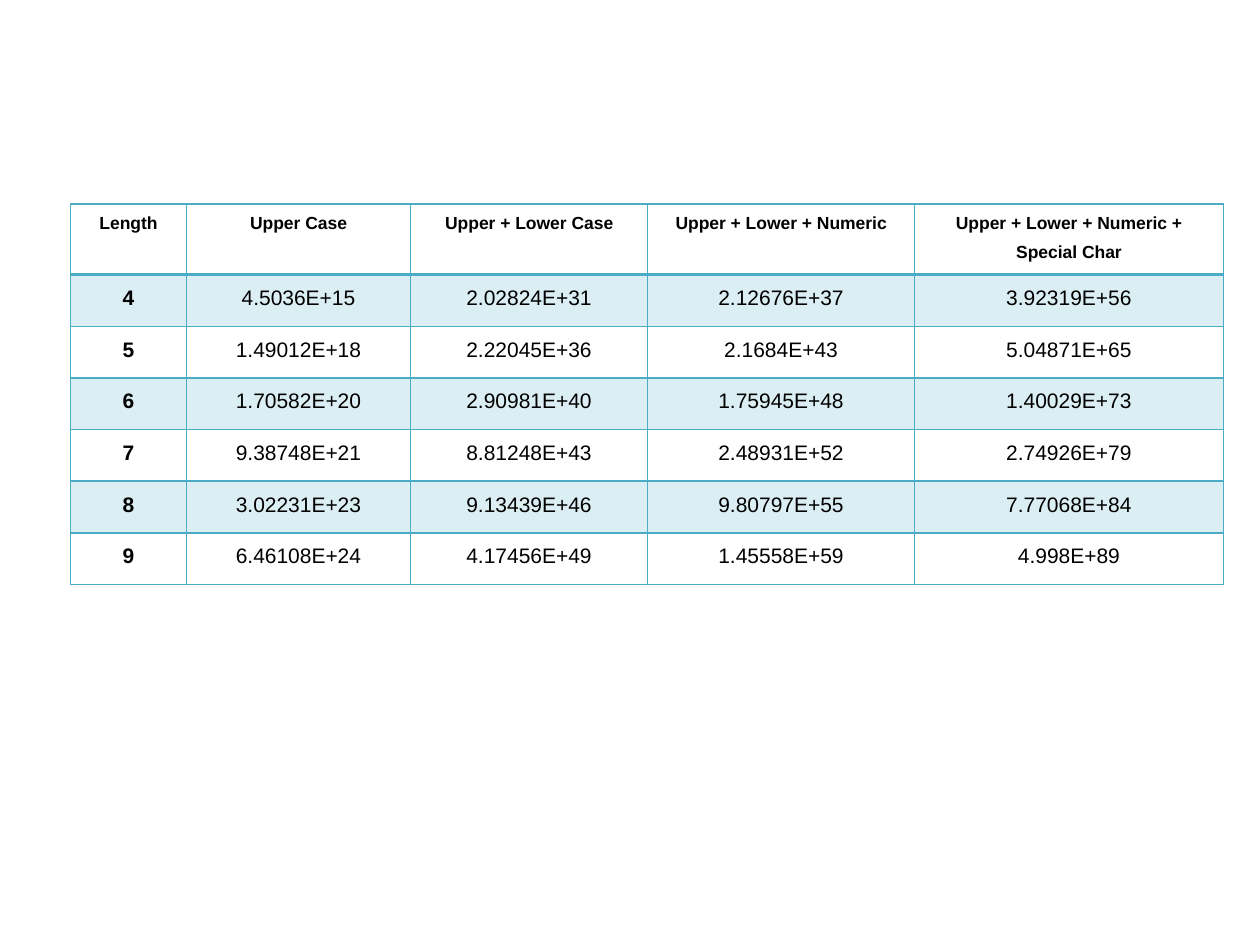
"""Build a slide with a table of password combinations by length and character set."""
from lxml.etree import SubElement
from pptx import Presentation
from pptx.dml.color import RGBColor
from pptx.enum.text import PP_ALIGN
from pptx.oxml import parse_xml
from pptx.oxml.ns import nsdecls, qn
from pptx.util import Inches, Pt

HEADINGS = ("Length", "Upper Case", "Upper + Lower Case",
            "Upper + Lower + Numeric", "Upper + Lower + Numeric + Special Char")
COMBINATIONS = (
    ("4", "4.5036E+15", "2.02824E+31", "2.12676E+37", "3.92319E+56"),
    ("5", "1.49012E+18", "2.22045E+36", "2.1684E+43", "5.04871E+65"),
    ("6", "1.70582E+20", "2.90981E+40", "1.75945E+48", "1.40029E+73"),
    ("7", "9.38748E+21", "8.81248E+43", "2.48931E+52", "2.74926E+79"),
    ("8", "3.02231E+23", "9.13439E+46", "9.80797E+55", "7.77068E+84"),
    ("9", "6.46108E+24", "4.17456E+49", "1.45558E+59", "4.998E+89"),
)
THEME = {"font": "Arial", "text": "000000", "accent": "4BACC6", "band_alpha": 20,
         "heading_size": 10, "body_size": 12, "rule": 1, "heading_rule": 2}
COLUMN_WIDTHS = (0.92, 1.78, 1.88, 2.12, 2.45)
HEADING_HEIGHT, BODY_HEIGHT = 0.56, 0.41
LEFT, TOP = 0.56, 1.62

CELL_FORMAT = {"margin_left": Inches(0.07), "margin_right": Inches(0.07),
               "margin_top": 0, "margin_bottom": 0}
PARAGRAPH_FORMAT = {"alignment": PP_ALIGN.CENTER, "line_spacing": 1.5}
TABLE_FORMAT = {"first_row": False, "horz_banding": False}


def apply_format(target, values):
    for attribute, value in values.items():
        setattr(target, attribute, value)


def write_text(cell, text, size, bold):
    cell.text = text
    apply_format(cell, CELL_FORMAT)
    paragraph = cell.text_frame.paragraphs[0]
    apply_format(paragraph, PARAGRAPH_FORMAT)
    font = paragraph.runs[0].font
    apply_format(font, {"name": THEME["font"], "size": Pt(size), "bold": bold})
    font.color.rgb = RGBColor.from_string(THEME["text"])


def fill_cell(cell, banded):
    if not banded:
        cell.fill.background()
        return
    cell.fill.solid()
    cell.fill.fore_color.rgb = RGBColor.from_string(THEME["accent"])
    tint = cell._tc.tcPr.find(qn("a:solidFill")).find(qn("a:srgbClr"))
    SubElement(tint, qn("a:alpha"), val=str(THEME["band_alpha"] * 1000))


def draw_borders(cell, row):
    widths = {"L": THEME["rule"], "R": THEME["rule"],
              "T": THEME["heading_rule" if row == 1 else "rule"],
              "B": THEME["heading_rule" if row == 0 else "rule"]}
    for position, (side, width) in enumerate(widths.items()):
        cell._tc.get_or_add_tcPr().insert(position, parse_xml(
            f'<a:ln{side} {nsdecls("a")} w="{Pt(width)}"><a:solidFill>'
            f'<a:srgbClr val="{THEME["accent"]}"/></a:solidFill></a:ln{side}>'))


def main():
    presentation = Presentation()
    apply_format(presentation, {"slide_width": Inches(10), "slide_height": Inches(7.5)})
    slide = presentation.slides.add_slide(presentation.slide_layouts[6])

    rows = (HEADINGS, *COMBINATIONS)
    heights = [HEADING_HEIGHT] + [BODY_HEIGHT] * len(COMBINATIONS)
    combinations = slide.shapes.add_table(
        len(rows), len(HEADINGS), Inches(LEFT), Inches(TOP),
        Inches(sum(COLUMN_WIDTHS)), Inches(sum(heights))).table
    apply_format(combinations, TABLE_FORMAT)
    for column, width in zip(combinations.columns, COLUMN_WIDTHS):
        column.width = Inches(width)

    for row, (texts, height) in enumerate(zip(rows, heights)):
        combinations.rows[row].height = Inches(height)
        size = THEME["body_size" if row else "heading_size"]
        for column, text in enumerate(texts):
            cell = combinations.cell(row, column)
            write_text(cell, text, size, bold=row == 0 or column == 0)
            fill_cell(cell, banded=row % 2 == 1)
            draw_borders(cell, row)

    presentation.save("out.pptx")


if __name__ == "__main__":
    main()
